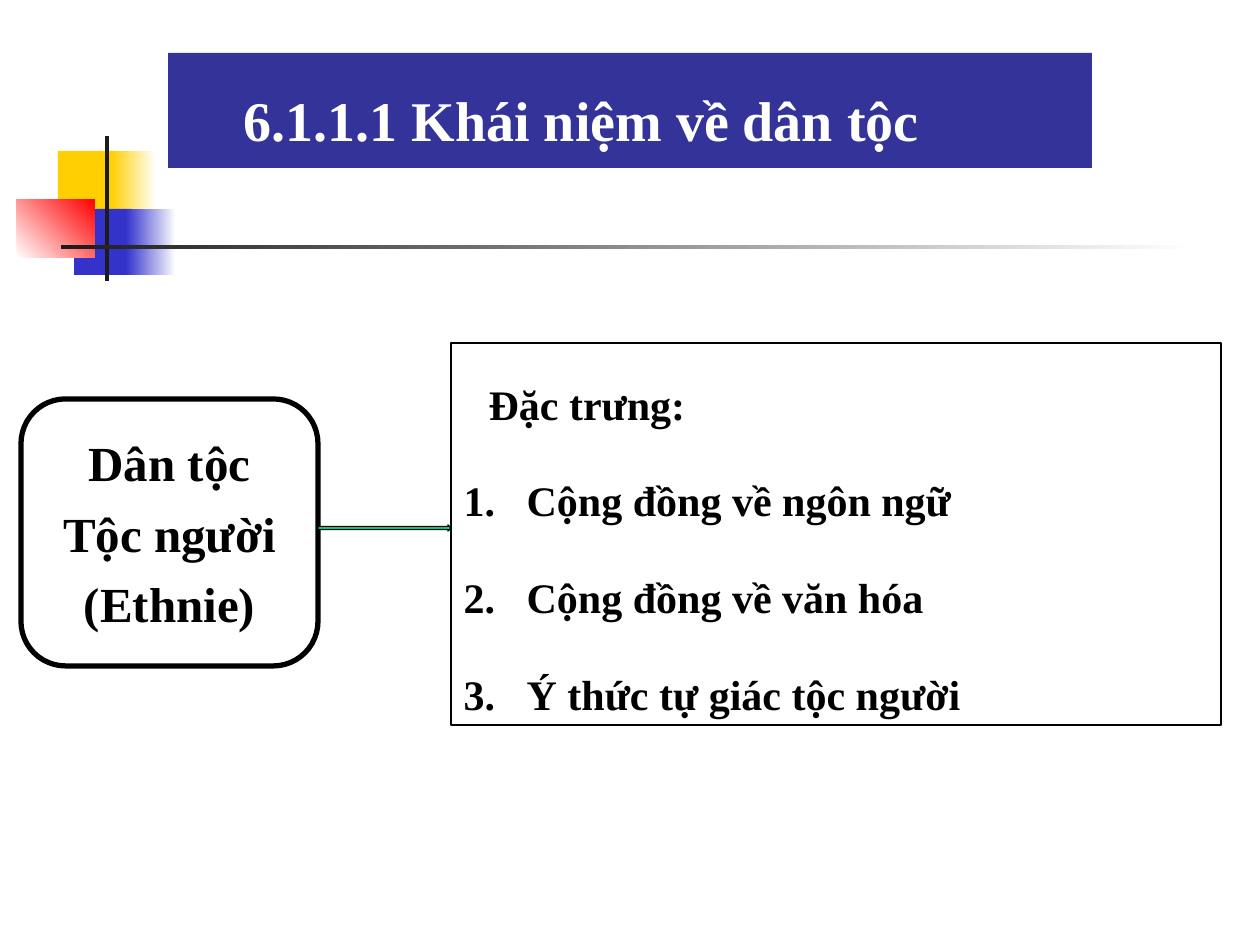
from dataclasses import dataclass
from typing import Optional

from lxml.etree import SubElement
from pptx import Presentation
from pptx.dml.color import RGBColor
from pptx.enum.shapes import MSO_SHAPE as Shape
from pptx.enum.text import MSO_ANCHOR as Anchor, MSO_AUTO_SIZE as AutoSize, PP_ALIGN as Align
from pptx.oxml.ns import qn
from pptx.util import Emu, Pt

PX_PER_INCH = 126


@dataclass(frozen=True)
class Theme:
    font: str = "Times New Roman"
    white: str = "FFFFFF"
    black: str = "000000"
    banner: str = "333399"
    yellow: str = "FFCF01"
    blue: str = "3333CC"
    red: str = "FF0000"
    rule: str = "1C1C1C"
    arrow: str = "00E4A8"
    title_size: int = 32
    concept_size: int = 28
    list_size: int = 24


@dataclass(frozen=True)
class Box:
    left: int
    top: int
    width: int
    height: int


@dataclass(frozen=True)
class Ornament:
    box: Box
    color: str
    fade_to: Optional[str] = None
    angle: int = 0


THEME = Theme()

ORNAMENTS = [
    Ornament(Box(58, 151, 60, 66), THEME.yellow),
    Ornament(Box(111, 151, 45, 66), THEME.yellow, THEME.white),
    Ornament(Box(74, 209, 58, 66), THEME.blue),
    Ornament(Box(126, 209, 50, 66), THEME.blue, THEME.white),
    Ornament(Box(17, 199, 78, 59), THEME.white, THEME.red, 45),
    Ornament(Box(105, 136, 4, 145), THEME.rule),
    Ornament(Box(61, 245, 1134, 4), THEME.rule, THEME.white),
]

TITLE = "6.1.1.1 Khái niệm về dân tộc"
CONCEPT = ["Dân tộc", "Tộc người", "(Ethnie)"]
FEATURES = [
    "Đặc trưng:",
    "Cộng đồng về ngôn ngữ",
    "Cộng đồng về văn hóa",
    "Ý thức tự giác tộc người",
]


def px(length: int) -> Emu:
    return Emu(round(length * 914400 / PX_PER_INCH))


def rgb(color: str) -> RGBColor:
    return RGBColor.from_string(color)


def place(shape, box: Box) -> None:
    shape.left, shape.top = px(box.left), px(box.top)
    shape.width, shape.height = px(box.width), px(box.height)


def paint(shape, fill: str, line: Optional[str] = None, weight: float = 0) -> None:
    shape.fill.solid()
    shape.fill.fore_color.rgb = rgb(fill)
    if line:
        shape.line.color.rgb = rgb(line)
        shape.line.width = Pt(weight)
    else:
        shape.line.fill.background()


def add_shape(slide, kind: Shape, box: Box, fill: str,
              line: Optional[str] = None, weight: float = 0):
    shape = slide.shapes.add_shape(kind, *map(px, (box.left, box.top, box.width, box.height)))
    shape.shadow.inherit = False
    paint(shape, fill, line, weight)
    return shape


def add_ornament(slide, ornament: Ornament) -> None:
    shape = add_shape(slide, Shape.RECTANGLE, ornament.box, ornament.color)
    if ornament.fade_to:
        shape.fill.gradient()
        shape.fill.gradient_angle = ornament.angle
        for stop, color in zip(shape.fill.gradient_stops, (ornament.color, ornament.fade_to)):
            stop.color.rgb = rgb(color)


def set_text(shape, lines: list[str], size: int, color: str, align: Align,
             before: float = 0, after: float = 0) -> None:
    frame = shape.text_frame
    frame.text = "\n".join(lines)
    frame.auto_size = AutoSize.NONE
    for index, paragraph in enumerate(frame.paragraphs):
        paragraph.alignment = align
        paragraph.space_before = Pt(before if index else 0)
        paragraph.space_after = Pt(after)
        for run in paragraph.runs:
            run.font.name = THEME.font
            run.font.size = Pt(size)
            run.font.bold = True
            run.font.color.rgb = rgb(color)


def set_indent(paragraph, margin: int, first_line: int, numbered: bool = False) -> None:
    properties = paragraph._p.get_or_add_pPr()
    properties.set("marL", str(px(margin)))
    properties.set("indent", str(px(first_line)))
    if numbered:
        SubElement(properties, qn("a:buFont"), typeface=THEME.font)
        SubElement(properties, qn("a:buAutoNum"), type="arabicPeriod")
    else:
        SubElement(properties, qn("a:buNone"))


def fill_title(title) -> None:
    place(title, Box(168, 53, 924, 115))
    paint(title, THEME.banner)
    set_text(title, [TITLE], THEME.title_size, THEME.white, Align.LEFT)
    title.text_frame.vertical_anchor = Anchor.MIDDLE
    title.text_frame.margin_top = px(24)
    set_indent(title.text_frame.paragraphs[0], 63, 0)


def fill_features(features) -> None:
    place(features, Box(451, 343, 770, 382))
    paint(features, THEME.white, THEME.black, 0.75)
    set_text(features, FEATURES, THEME.list_size, THEME.black, Align.JUSTIFY, 6, 6)
    frame = features.text_frame
    frame.vertical_anchor = Anchor.TOP
    frame.margin_top = px(10)
    heading, *items = frame.paragraphs
    set_indent(heading, 0, 25)
    for item in items:
        set_indent(item, 63, -63, numbered=True)
    for paragraph in frame.paragraphs:
        paragraph.line_spacing = 1.5


def add_concept(slide) -> None:
    concept = add_shape(slide, Shape.ROUNDED_RECTANGLE, Box(21, 399, 297, 267),
                        THEME.white, THEME.black, 3)
    concept.adjustments[0] = 0.167
    set_text(concept, CONCEPT, THEME.concept_size, THEME.black, Align.CENTER, 6.5)
    concept.text_frame.word_wrap = False
    concept.text_frame.vertical_anchor = Anchor.MIDDLE


def main() -> None:
    deck = Presentation()
    deck.slide_width, deck.slide_height = px(1260), px(945)
    slide = deck.slides.add_slide(deck.slide_layouts[1])

    # Corner ornament and rule
    for ornament in ORNAMENTS:
        add_ornament(slide, ornament)

    # Title banner and list of features
    fill_title(slide.shapes.title)
    fill_features(slide.placeholders[1])

    # Concept and the arrow to its features
    add_concept(slide)
    add_shape(slide, Shape.RIGHT_ARROW, Box(318, 525, 133, 6), THEME.arrow, THEME.black, 0.75)

    deck.save("out.pptx")


if __name__ == "__main__":
    main()
